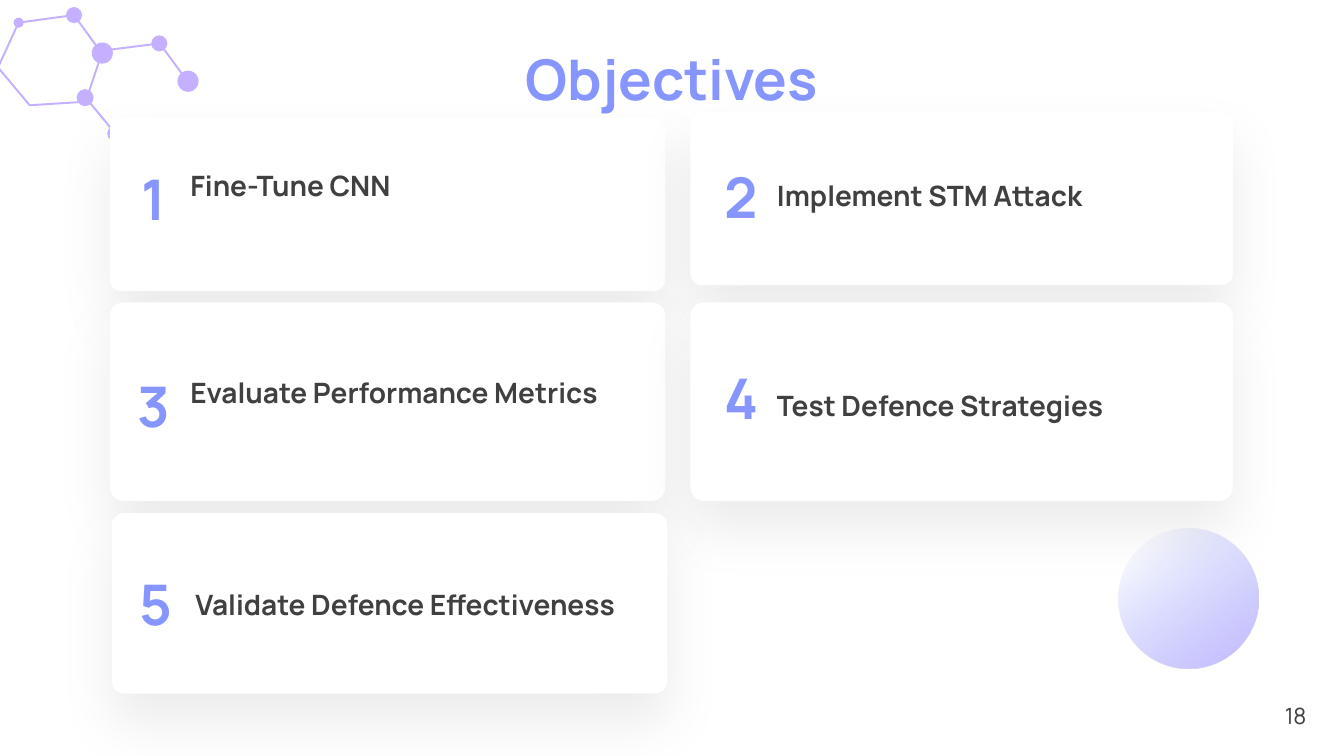
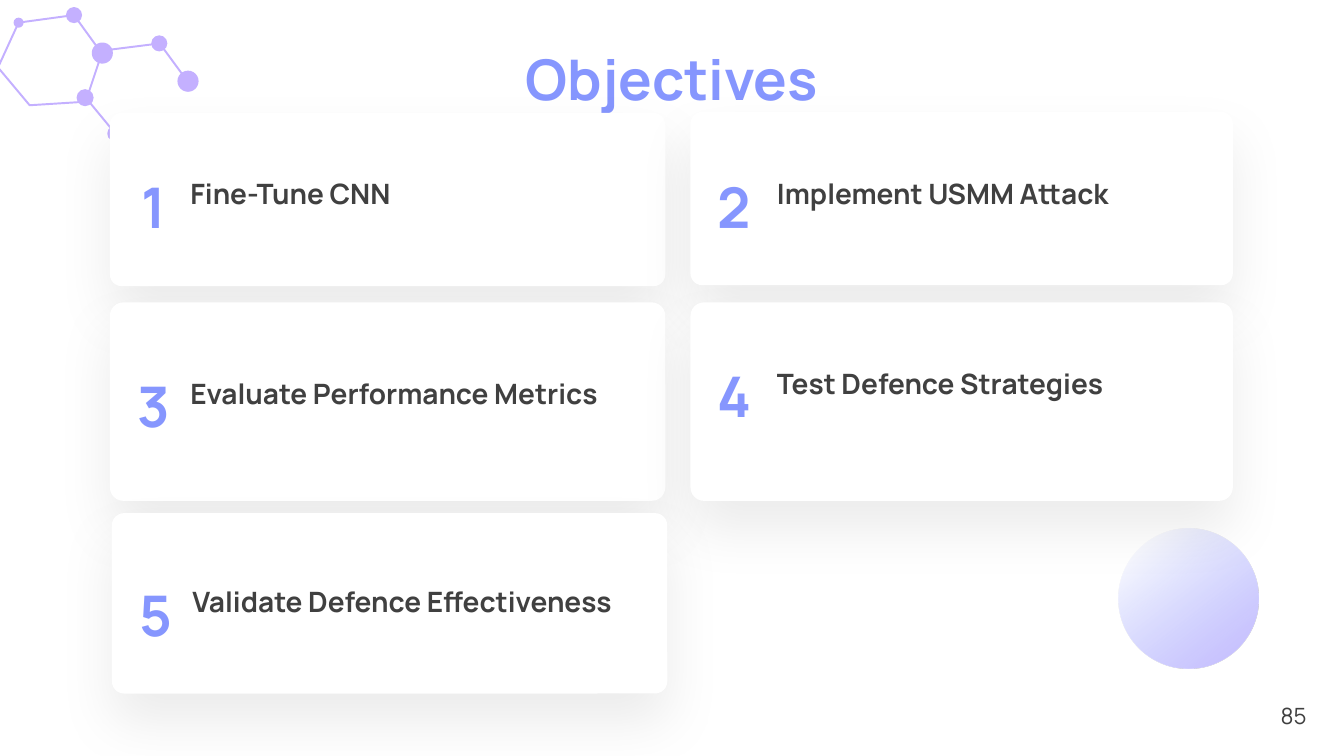
"""Build two Objectives slides with numbered cards and a molecule ornament."""
from lxml import etree
from pptx import Presentation
from pptx.dml.color import RGBColor
from pptx.enum.shapes import MSO_SHAPE as SHAPE
from pptx.enum.text import MSO_ANCHOR as ANCHOR, MSO_AUTO_SIZE as AUTO_SIZE, PP_ALIGN as ALIGN
from pptx.oxml import parse_xml
from pptx.oxml.ns import nsdecls, qn
from pptx.util import Pt

PERIWINKLE = RGBColor(0x86, 0x96, 0xFE)
LILAC = RGBColor(0xC4, 0xB0, 0xFF)
CHARCOAL = RGBColor(0x40, 0x40, 0x40)
WHITE = RGBColor(0xFF, 0xFF, 0xFF)
BLACK = RGBColor(0, 0, 0)
FONT = "Manrope"

HEXAGON = [(52.9, 10.8), (13.3, 16.2), (-1.4, 48.2), (21.2, 75.2), (61.2, 72.7), (72.7, 38.2)]
BRANCH = [(74.5, 36), (114.1, 31), (133.9, 58)]
STEM = [(59.8, 68), (82.4, 95.4)]
BONDS = [(HEXAGON, True), (BRANCH, False), (STEM, False)]
ATOMS = [
    (82.4, 95.4, 11.5), (113.8, 31, 11.5), (134.3, 58, 15.1), (60.8, 69.8, 12.2),
    (13.3, 16.2, 7.2), (52.9, 10.8, 11.5), (73.1, 37.9, 15.1),
]

CARD_COLUMNS = [(78.5, 396.7), (493.2, 387.4), (78.5, 396.7), (493.2, 387.4), (79.9, 396.7)]
CARD_HEIGHTS = [123.8, 123.8, 141.8, 141.8, 128.9]
SLIDES = [
    ("18", [
        ("Fine-Tune CNN", 84.2, (85.7, 113.8), (128.9, 116.6)),
        ("Implement STM Attack", 79.9, (505.4, 112.3), (547.9, 123.8)),
        ("Evaluate Performance Metrics", 216, (85.7, 262.1), (128.9, 265)),
        ("Test Defence Strategies", 216, (505.4, 256.3), (547.9, 273.6)),
        ("Validate Defence Effectiveness", 366.5, (87.1, 403.2), (132.5, 416.2)),
    ]),
    ("85", [
        ("Fine-Tune CNN", 80.6, (85.7, 119.5), (128.9, 122.4)),
        ("Implement USMM Attack", 79.9, (500.4, 119.5), (547.9, 122.4)),
        ("Evaluate Performance Metrics", 216, (85.7, 262.1), (128.9, 265.7)),
        ("Test Defence Strategies", 216, (500.4, 254.9), (547.9, 258.5)),
        ("Validate Defence Effectiveness", 366.5, (87.1, 411.1), (130.3, 414)),
    ]),
]


def write_text(shape, text, size, color, bold=True, align=ALIGN.LEFT, anchor=ANCHOR.TOP):
    frame = shape.text_frame
    frame.text = text
    frame.word_wrap = True
    frame.auto_size = AUTO_SIZE.NONE
    frame.vertical_anchor = anchor
    paragraph = frame.paragraphs[0]
    paragraph.alignment = align
    paragraph.font.name = FONT
    paragraph.font.size = Pt(size)
    paragraph.font.bold = bold
    paragraph.font.color.rgb = color


def add_plain_shape(shapes, kind, left, top, width, height, color):
    shape = shapes.add_shape(kind, Pt(left), Pt(top), Pt(width), Pt(height))
    shape.shadow.inherit = False
    shape.fill.solid()
    shape.fill.fore_color.rgb = color
    shape.line.fill.background()
    return shape


presentation = Presentation()
presentation.slide_width = Pt(960)
presentation.slide_height = Pt(540)

for page_number, cards in SLIDES:
    slide = presentation.slides.add_slide(presentation.slide_layouts[5])

    title = slide.shapes.title
    title.left, title.top, title.width, title.height = Pt(240), Pt(28), Pt(480), Pt(62)
    write_text(title, "Objectives", 40, PERIWINKLE, align=ALIGN.CENTER)

    page_box = slide.shapes.add_textbox(Pt(724.3), Pt(496.8), Pt(216), Pt(28.8))
    write_text(page_box, page_number, 16, CHARCOAL, False, ALIGN.RIGHT, ANCHOR.MIDDLE)

    sphere = add_plain_shape(slide.shapes, SHAPE.OVAL, 799.2, 377.3, 100, 100, LILAC)
    sphere.rotation = 222.2
    gradient = parse_xml(
        f'<a:gradFill {nsdecls("a")} rotWithShape="1"><a:gsLst>'
        f'<a:gs pos="0"><a:srgbClr val="{PERIWINKLE}"><a:alpha val="0"/></a:srgbClr></a:gs>'
        f'<a:gs pos="20000"><a:srgbClr val="{PERIWINKLE}"><a:alpha val="0"/></a:srgbClr></a:gs>'
        f'<a:gs pos="100000"><a:srgbClr val="{LILAC}"/></a:gs>'
        '</a:gsLst><a:lin ang="11400000" scaled="0"/></a:gradFill>'
    )
    solid_fill = sphere.element.spPr.find(qn("a:solidFill"))
    solid_fill.getparent().replace(solid_fill, gradient)

    molecule = slide.shapes.add_group_shape()
    for points, closed in BONDS:
        corners = [(Pt(x), Pt(y)) for x, y in points]
        builder = molecule.shapes.build_freeform(*corners[0])
        builder.add_line_segments(corners[1:], close=closed)
        bond = builder.convert_to_shape()
        bond.shadow.inherit = False
        bond.fill.background()
        bond.line.color.rgb = LILAC
        bond.line.width = Pt(1.4)
    for x, y, diameter in ATOMS:
        left, top = x - diameter / 2, y - diameter / 2
        add_plain_shape(molecule.shapes, SHAPE.OVAL, left, top, diameter, diameter, LILAC)

    rows = zip(CARD_COLUMNS, CARD_HEIGHTS, cards)
    for number, ((left, width), height, card_content) in enumerate(rows, 1):
        label, top, number_at, label_at = card_content
        group = slide.shapes.add_group_shape()
        card = add_plain_shape(group.shapes, SHAPE.ROUNDED_RECTANGLE, left, top, width, height, WHITE)
        card.adjustments[0] = 0.068
        effects = card.element.spPr.find(qn("a:effectLst"))
        shadow = etree.SubElement(
            effects, qn("a:outerShdw"), blurRad=str(Pt(40)), dist=str(Pt(20)),
            dir="5400000", algn="t", rotWithShape="0",
        )
        shadow_color = etree.SubElement(shadow, qn("a:srgbClr"), val=str(BLACK))
        etree.SubElement(shadow_color, qn("a:alpha"), val="7000")

        number_box = group.shapes.add_textbox(*map(Pt, number_at), Pt(48), Pt(61))
        write_text(number_box, str(number), 40, PERIWINKLE, align=ALIGN.CENTER)
        label_box = group.shapes.add_textbox(*map(Pt, label_at), Pt(330), Pt(34.5))
        write_text(label_box, label, 20, CHARCOAL)

presentation.save("out.pptx")
